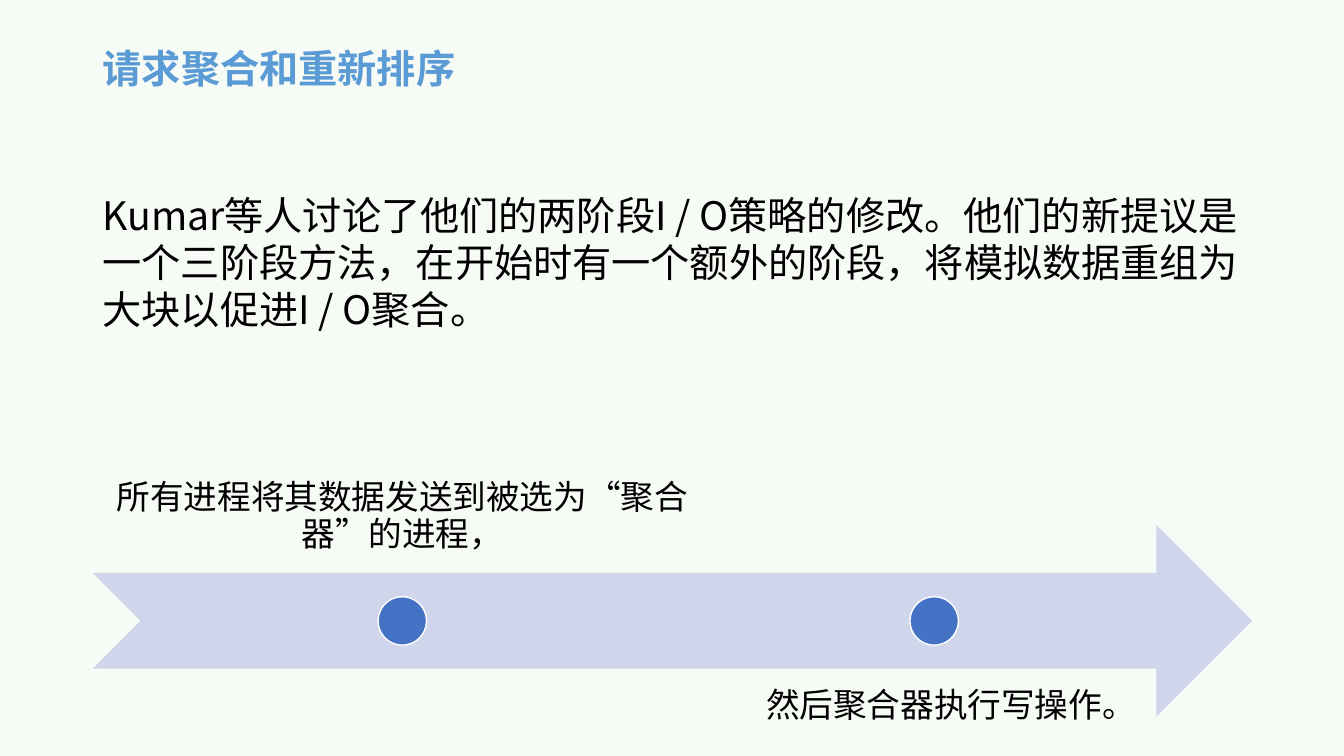
from lxml import etree
from pptx import Presentation
from pptx.dml.color import RGBColor
from pptx.enum.shapes import MSO_SHAPE
from pptx.enum.text import MSO_ANCHOR, MSO_AUTO_SIZE, PP_ALIGN
from pptx.oxml.ns import qn
from pptx.util import Inches, Pt

ARROW, DOT = MSO_SHAPE.NOTCHED_RIGHT_ARROW, MSO_SHAPE.OVAL
TOP, BOTTOM = MSO_ANCHOR.TOP, MSO_ANCHOR.BOTTOM
LEFT, CENTER = PP_ALIGN.LEFT, PP_ALIGN.CENTER
NO_FIT = MSO_AUTO_SIZE.NONE

PAPER = RGBColor(0xF7, 0xFB, 0xF5)
SKY = RGBColor(0x5B, 0x9B, 0xD5)
PALE = RGBColor(0xCF, 0xD5, 0xEA)
BLUE = RGBColor(0x44, 0x72, 0xC4)
WHITE = RGBColor(0xFF, 0xFF, 0xFF)
BLACK = RGBColor(0, 0, 0)
FONT = "Noto Sans CJK SC"


class Deck:
    """Hold the style and the current slide, and add elements to it."""

    def __init__(self):
        self.deck = Presentation()
        self.deck.slide_width = Inches(13.33)
        self.deck.slide_height = Inches(7.5)
        self.slide = self.deck.slides.add_slide(self.deck.slide_layouts[5])
        fill = self.slide.background.fill
        fill.solid()
        fill.fore_color.rgb = PAPER

    def set_text(self, frame, text, size, color=BLACK, bold=False,
                 align=LEFT, anchor=TOP, space=1.0):
        frame.word_wrap = True
        frame.auto_size = NO_FIT
        frame.vertical_anchor = anchor
        frame.text = text
        para = frame.paragraphs[0]
        para.alignment = align
        para.line_spacing = space
        font = para.font
        font.name, font.size, font.bold = FONT, Pt(size), bold
        font.color.rgb = color
        props = para._p.pPr.find(qn("a:defRPr"))
        etree.SubElement(props, qn("a:ea")).set("typeface", FONT)

    def title(self, text, *box):
        shape = self.slide.shapes.title
        shape.left, shape.top, shape.width, shape.height = map(Inches, box)
        shape.text_frame.margin_top = Inches(0.09)
        self.set_text(shape.text_frame, text, 28, SKY, True, space=0.9)

    def body(self, text, *box):
        area = self.slide.shapes.add_textbox(*map(Inches, box))
        self.set_text(area.text_frame, text, 28)

    def label(self, text, anchor, *box):
        frame = self.slide.shapes.add_textbox(*map(Inches, box)).text_frame
        frame.margin_left = frame.margin_right = Inches(0.19)
        frame.margin_top = frame.margin_bottom = Inches(0.19)
        self.set_text(frame, text, 24, align=CENTER, anchor=anchor, space=0.9)

    def shape(self, kind, color, *box, line=None):
        item = self.slide.shapes.add_shape(kind, *map(Inches, box))
        item.shadow.inherit = False
        item.fill.solid()
        item.fill.fore_color.rgb = color
        if line is None:
            item.line.fill.background()
        else:
            item.line.color.rgb = line
            item.line.width = Pt(1)

    def save(self):
        self.deck.save("out.pptx")


def main():
    left, width, high, dot = 0.92, 11.5, 1.9, 0.48
    arrow = 5.21
    page = Deck()
    page.title("请求聚合和重新排序", left, 0.4, width, 1.45)
    page.shape(ARROW, PALE, left, arrow, width, high)
    steps = [
        ("所有进程将其数据发送到被选为“聚合器”的进程，", BOTTOM, left, 3.78, 6.14),
        ("然后聚合器执行写操作。", TOP, 7.26, 6.64, 4.01),
    ]
    for text, anchor, x, y, wide in steps:
        page.label(text, anchor, x, y, wide, high)
        page.shape(DOT, BLUE, x + (wide - dot) / 2, arrow + (high - dot) / 2,
                   dot, dot, line=WHITE)
    page.body("Kumar等人讨论了他们的两阶段I / O策略的修改。他们的新提议是一个三阶段方法，"
              "在开始时有一个额外的阶段，将模拟数据重组为大块以促进I / O聚合。",
              left, 1.85, width, 1.51)
    page.save()


if __name__ == "__main__":
    main()
